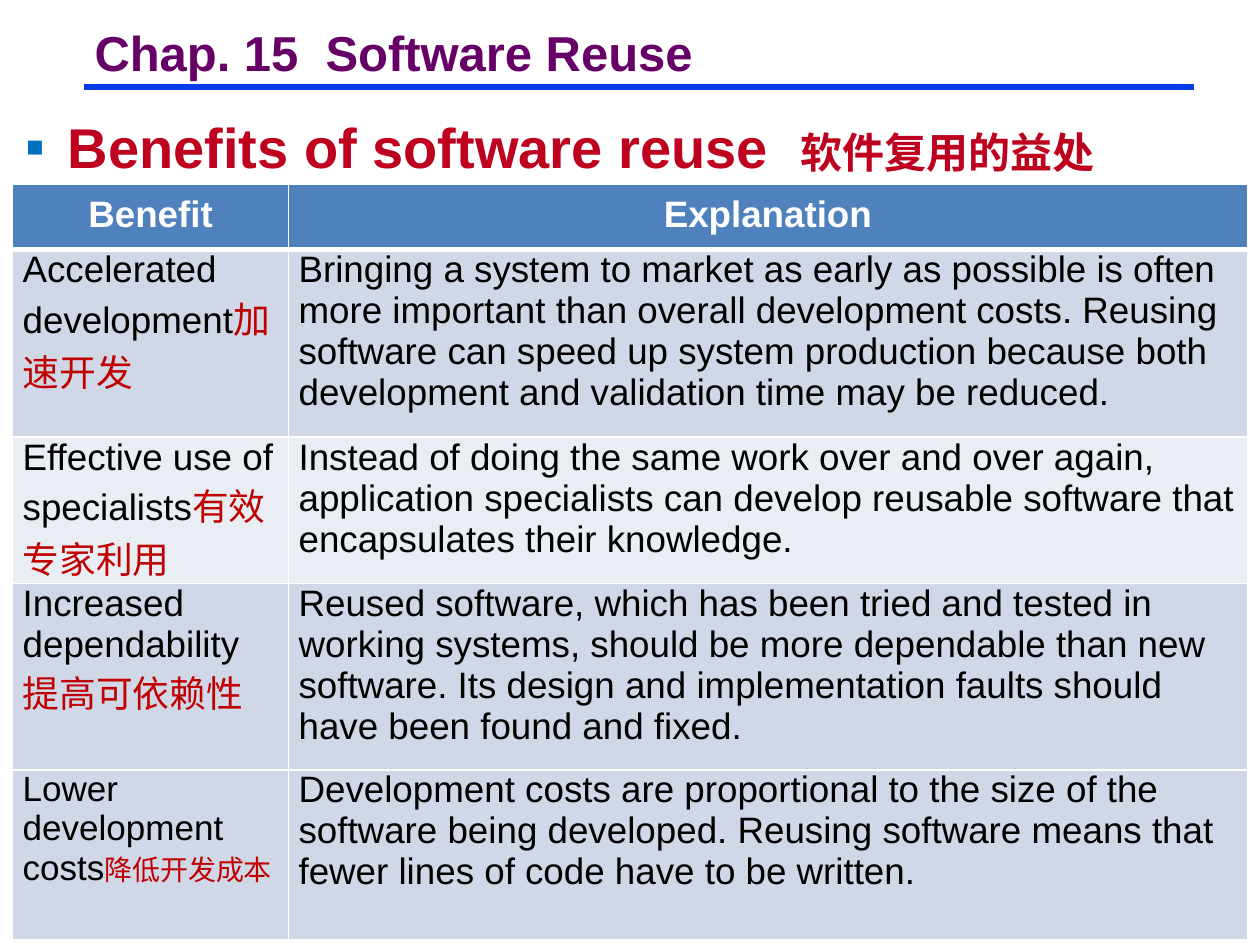
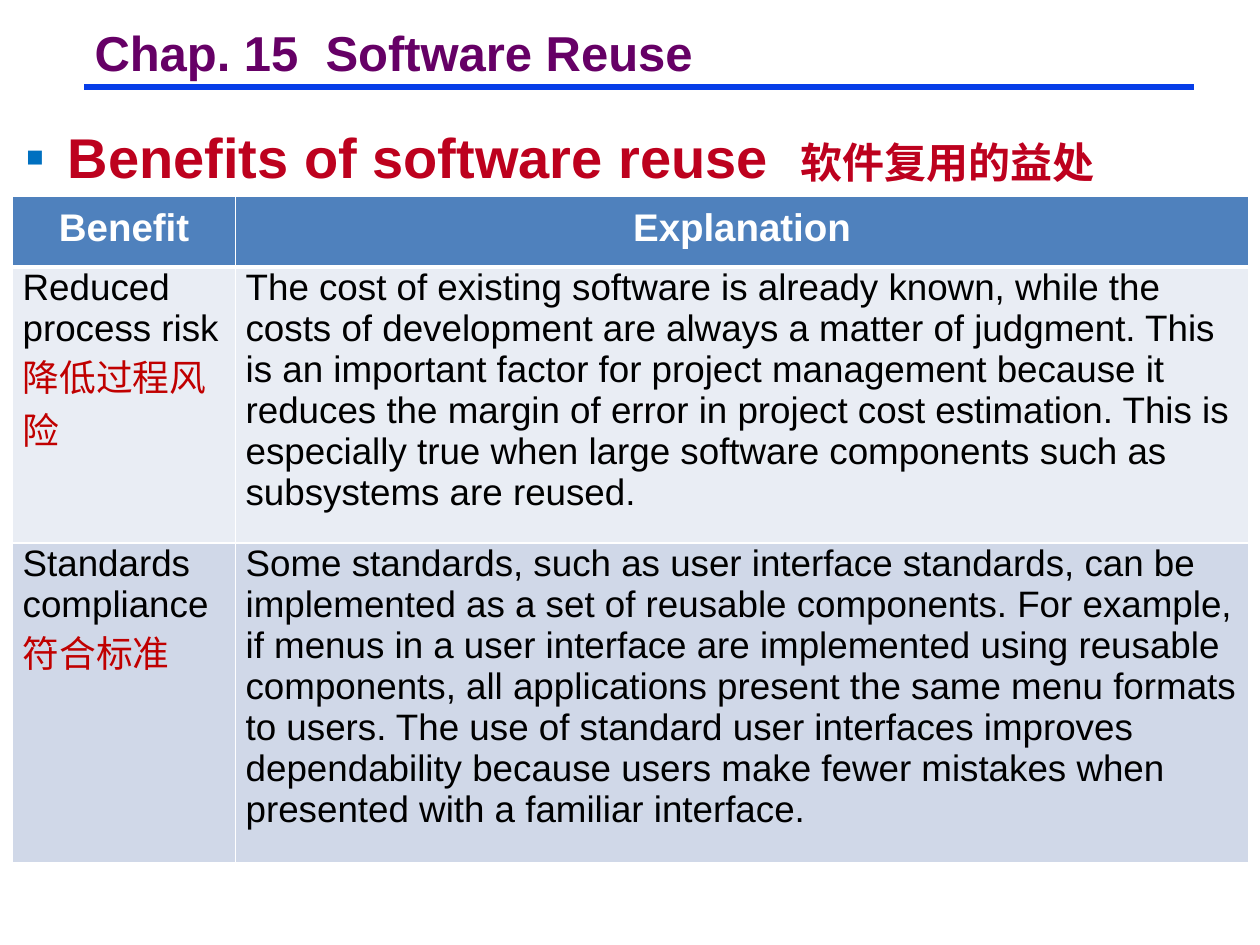
"""Build two slides on the benefits of software reuse."""
from dataclasses import dataclass

from lxml import etree
from pptx import Presentation
from pptx import util as u
from pptx.dml.color import RGBColor
from pptx.enum import shapes, text
from pptx.oxml.ns import qn

INK = {
    "title": "660066", "rule": "063DE8", "mark": "0070C0", "topic": "BD011E",
    "head": "4F81BD", "dark": "D0D8E8", "light": "E9EDF4",
    "white": "FFFFFF", "black": "000000", "red": "C00000",
}
LATIN, HAN = "Arial", "Noto Sans CJK SC"
UNIT = u.Inches(0.1)
COLS, ROWS = 100, 75
EDGES = {"lnL": 1, "lnR": 1, "lnT": 1, "lnB": 1}


@dataclass
class Gain:
    """A table row: a benefit, its Chinese name and why it holds."""
    name: str
    han: str
    why: str
    high: float
    fill: str
    size: int = 21
    small: int = 21


@dataclass
class Page:
    """A slide: places of its topic and table, and the table's rows."""
    topic: float
    depth: float
    table: float
    cols: tuple
    head: float
    size: int
    gains: list


PAGES = [
    Page(7.9, 6.5, 14.6, (21.9, 76.1), 5.2, 21, [
        Gain("Accelerated development", "加速开发",
             "Bringing a system to market as early as possible is often more important "
             "than overall development costs. Reusing software can speed up system "
             "production because both development and validation time may be reduced.",
             14.9, "dark"),
        Gain("Effective use of specialists", "有效专家利用",
             "Instead of doing the same work over and over again, application specialists "
             "can develop reusable software that encapsulates their knowledge.",
             11.6, "light"),
        Gain("Increased dependability ", "提高可依赖性",
             "Reused software, which has been tried and tested in working systems, should "
             "be more dependable than new software. Its design and implementation faults "
             "should have been found and fixed.",
             14.8, "dark"),
        Gain("Lower development costs", "降低开发成本",
             "Development costs are proportional to the size of the software being "
             "developed. Reusing software means that fewer lines of code have to be written.",
             11.7, "dark", 20, 16),
    ]),
    Page(8.7, 5.7, 15.6, (17.7, 80.4), 5.6, 22, [
        Gain("Reduced process risk", "降低过程风险",
             "The cost of existing software is already known, while the costs of "
             "development are always a matter of judgment. This is an important factor for "
             "project management because it reduces the margin of error in project cost "
             "estimation. This is especially true when large software components such as "
             "subsystems are reused.",
             21.9, "light"),
        Gain("Standards compliance", "符合标准",
             "Some standards, such as user interface standards, can be implemented as a "
             "set of reusable components. For example, if menus in a user interface are "
             "implemented using reusable components, all applications present the same "
             "menu formats to users. The use of standard user interfaces improves "
             "dependability because users make fewer mistakes when presented with a "
             "familiar interface.",
             25.4, "dark"),
    ]),
]


def grid(*cells: float) -> list:
    """Turn grid columns and rows into lengths."""
    return [u.Emu(round(cell * UNIT)) for cell in cells]


def tint(name: str) -> RGBColor:
    """Look up a colour."""
    return RGBColor.from_string(INK[name])


def write(para, words: str, *, size: int, ink: str, bold: bool = False,
          face: str = LATIN) -> None:
    """Add a formatted run to a paragraph."""
    run = para.add_run()
    run.text = words
    font = run.font
    font.name, font.size, font.bold = face, u.Pt(size), bold
    font.color.rgb = tint(ink)
    if face == HAN:
        etree.SubElement(run._r.get_or_add_rPr(), qn("a:ea"), typeface=face)


def pad(box, left: float, top: float, right: float, low: float) -> None:
    """Set the margins of a cell or text frame."""
    (box.margin_left, box.margin_top,
     box.margin_right, box.margin_bottom) = grid(left, top, right, low)


def bullet(para, mark: str) -> None:
    """Give a paragraph a coloured bullet and a hanging indent."""
    props = para._p.get_or_add_pPr()
    hang = grid(3.4)[0]
    props.set("marL", str(hang))
    props.set("indent", str(-hang))
    shade = etree.SubElement(props, qn("a:buClr"))
    etree.SubElement(shade, qn("a:srgbClr"), val=INK["mark"])
    etree.SubElement(props, qn("a:buFont"), typeface=LATIN)
    etree.SubElement(props, qn("a:buChar"), char=mark)


def frame(slide) -> None:
    """Draw the chapter title and the rule below it."""
    rule = slide.shapes.add_connector(
        shapes.MSO_CONNECTOR.STRAIGHT, *grid(6.7, 6.9, 94.8, 6.9))
    rule.line.color.rgb = tint("rule")
    rule.line.width = u.Pt(3.75)
    etree.SubElement(rule._element.spPr, qn("a:effectLst"))
    title = slide.shapes.title
    title.left, title.top, title.width, title.height = grid(6.8, 2.2, 48.9, 4.6)
    body = title.text_frame
    body.word_wrap = False
    body.vertical_anchor = text.MSO_ANCHOR.BOTTOM
    pad(body, 0.7, 0.3, 0.7, 0.3)
    para = body.paragraphs[0]
    para.alignment = text.PP_ALIGN.LEFT
    para.line_spacing = 0.87
    write(para, "Chap. 15  Software Reuse", size=28, ink="title", bold=True)


def topic(slide, page: Page) -> None:
    """Draw the bulleted topic line."""
    box = slide.shapes.add_textbox(*grid(1, page.topic, 98.2, page.depth))
    body = box.text_frame
    body.word_wrap = True
    pad(body, 1, 1, 1, 0.5)
    para = body.paragraphs[0]
    bullet(para, "▪")
    write(para, "Benefits of software reuse  ", size=32, ink="topic", bold=True)
    write(para, "软件复用的益处", size=24, ink="topic", bold=True, face=HAN)


def style(cell, fill: str, top: float = 0, **edges: int) -> None:
    """Set the margins, borders and fill of a cell."""
    pad(cell, 0.8, top, 0.8, 0.8)
    props = cell._tc.get_or_add_tcPr()
    for side, width in {**EDGES, **edges}.items():
        line = etree.SubElement(props, qn(f"a:{side}"), w=str(u.Pt(width)))
        paint = etree.SubElement(line, qn("a:solidFill"))
        etree.SubElement(paint, qn("a:srgbClr"), val=INK["white"])
    cell.fill.solid()
    cell.fill.fore_color.rgb = tint(fill)


def chart(slide, page: Page) -> None:
    """Draw the table of benefits."""
    highs = [page.head] + [gain.high for gain in page.gains]
    table = slide.shapes.add_table(
        len(highs), 2, *grid(1, page.table, sum(page.cols), sum(highs))).table
    table.horz_banding = False
    for col, width in zip(table.columns, grid(*page.cols)):
        col.width = width
    for row, high in zip(table.rows, grid(*highs)):
        row.height = high
    for cell, label in zip(table.rows[0].cells, ("Benefit", "Explanation")):
        style(cell, "head", 0.8, lnB=3)
        para = cell.text_frame.paragraphs[0]
        para.alignment = text.PP_ALIGN.CENTER
        write(para, label, size=page.size, ink="white", bold=True)
    for num, gain in enumerate(page.gains, 1):
        left, right = table.rows[num].cells
        edge = 3 if num == 1 else 1
        for cell in (left, right):
            style(cell, gain.fill, lnT=edge)
        para = left.text_frame.paragraphs[0]
        write(para, gain.name, size=gain.size, ink="black")
        write(para, gain.han, size=gain.small, ink="red", face=HAN)
        write(right.text_frame.paragraphs[0], gain.why, size=21, ink="black")


def main() -> None:
    """Build and save the slides."""
    deck = Presentation()
    deck.slide_width, deck.slide_height = grid(COLS, ROWS)
    for page in PAGES:
        slide = deck.slides.add_slide(deck.slide_layouts[5])
        frame(slide)
        topic(slide, page)
        chart(slide, page)
    deck.save("out.pptx")


if __name__ == "__main__":
    main()
